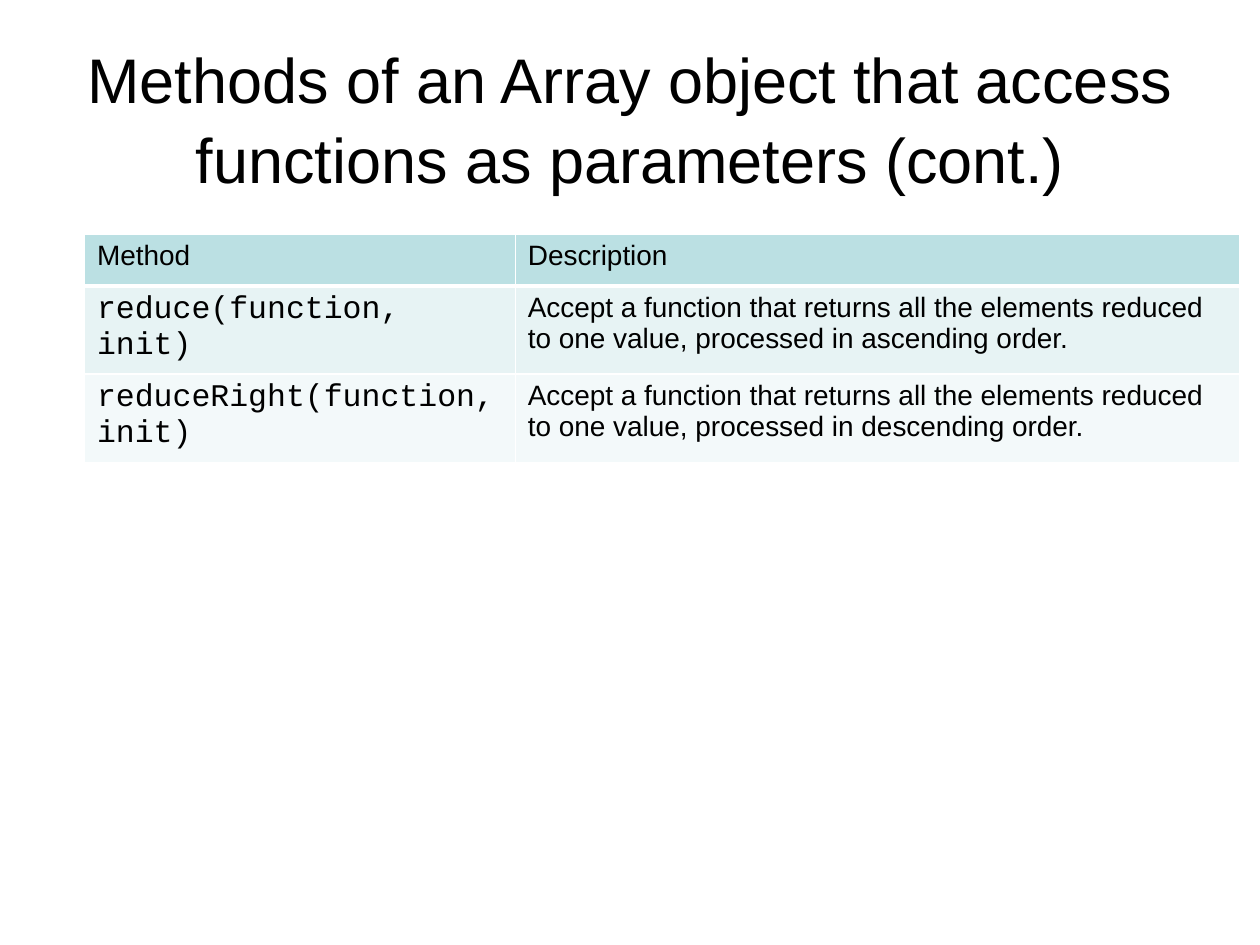
import pptx
import pptx.dml.color
import pptx.enum.text
import pptx.oxml
import pptx.oxml.ns
import pptx.util

WIDTH, HEIGHT = pptx.util.Inches(10), pptx.util.Inches(7.5)
TITLE = "Methods of an Array object that access functions as parameters (cont.)"
ROWS = [
    ("Method", "Description"),
    ("reduce(function, init)",
     "Accept a function that returns all the elements reduced to one value, "
     "processed in ascending order."),
    ("reduceRight(function, init)",
     "Accept a function that returns all the elements reduced to one value, "
     "processed in descending order."),
]
ROW_FILLS = ["BBE0E3", "E7F3F4", "F3F9FA"]
ROW_HEIGHTS = [0.41, 0.67, 0.67]
COLUMN_WIDTHS = [3.42, 5.75]


def color(value):
    """Turn a hex string into a colour."""
    return pptx.dml.color.RGBColor.from_string(value)


def set_font(paragraph, name, size):
    """Give a paragraph a plain black font."""
    paragraph.font.name = name
    paragraph.font.size = pptx.util.Pt(size)
    paragraph.font.bold = False
    paragraph.font.color.rgb = color("000000")


def set_borders(cell, top, bottom):
    """Draw white cell borders, with the given top and bottom widths in points."""
    properties = cell._tc.get_or_add_tcPr()
    for side, points in (("L", 1), ("R", 1), ("T", top), ("B", bottom)):
        properties.append(pptx.oxml.parse_xml(
            f'<a:ln{side} {pptx.oxml.ns.nsdecls("a")} w="{pptx.util.Pt(points)}">'
            f'<a:solidFill><a:srgbClr val="FFFFFF"/></a:solidFill></a:ln{side}>'))


def add_title(slide, left, top, width, height):
    """Place the centred title in its box."""
    frame = slide.shapes.add_textbox(left, top, width, height).text_frame
    frame.word_wrap = True
    frame.vertical_anchor = pptx.enum.text.MSO_ANCHOR.MIDDLE
    paragraph = frame.paragraphs[0]
    paragraph.text = TITLE
    paragraph.alignment = pptx.enum.text.PP_ALIGN.CENTER
    paragraph.line_spacing = 1.05
    set_font(paragraph, "Arial", 36)


def add_method_table(slide, left, top, width, height):
    """Place the method table, sharing its box among columns and rows."""
    table = slide.shapes.add_table(
        len(ROWS), len(COLUMN_WIDTHS), left, top, width, height).table
    table.first_row = table.horz_banding = False
    for column, share in zip(table.columns, COLUMN_WIDTHS):
        column.width = int(width * share / sum(COLUMN_WIDTHS))
    for row, share in zip(table.rows, ROW_HEIGHTS):
        row.height = int(height * share / sum(ROW_HEIGHTS))
    for row_index, texts in enumerate(ROWS):
        for column_index, text in enumerate(texts):
            cell = table.cell(row_index, column_index)
            cell.text = text
            is_code = row_index > 0 and column_index == 0
            set_font(cell.text_frame.paragraphs[0],
                     *(("Courier New", 18) if is_code else ("Arial", 16)))
            set_borders(cell, 3 if row_index == 1 else 1, 3 if row_index == 0 else 1)
            cell.fill.solid()
            cell.fill.fore_color.rgb = color(ROW_FILLS[row_index])


def main():
    """Build and save the presentation."""
    presentation = pptx.Presentation()
    presentation.slide_width, presentation.slide_height = WIDTH, HEIGHT
    slide = presentation.slides.add_slide(presentation.slide_layouts[6])
    add_title(slide, int(WIDTH * 0.05), int(HEIGHT * 0.04),
              int(WIDTH * 0.9), int(HEIGHT / 6))
    add_method_table(slide, pptx.util.Inches(0.67), pptx.util.Inches(1.86),
                     pptx.util.Inches(sum(COLUMN_WIDTHS)),
                     pptx.util.Inches(sum(ROW_HEIGHTS)))
    presentation.save("out.pptx")


if __name__ == "__main__":
    main()
